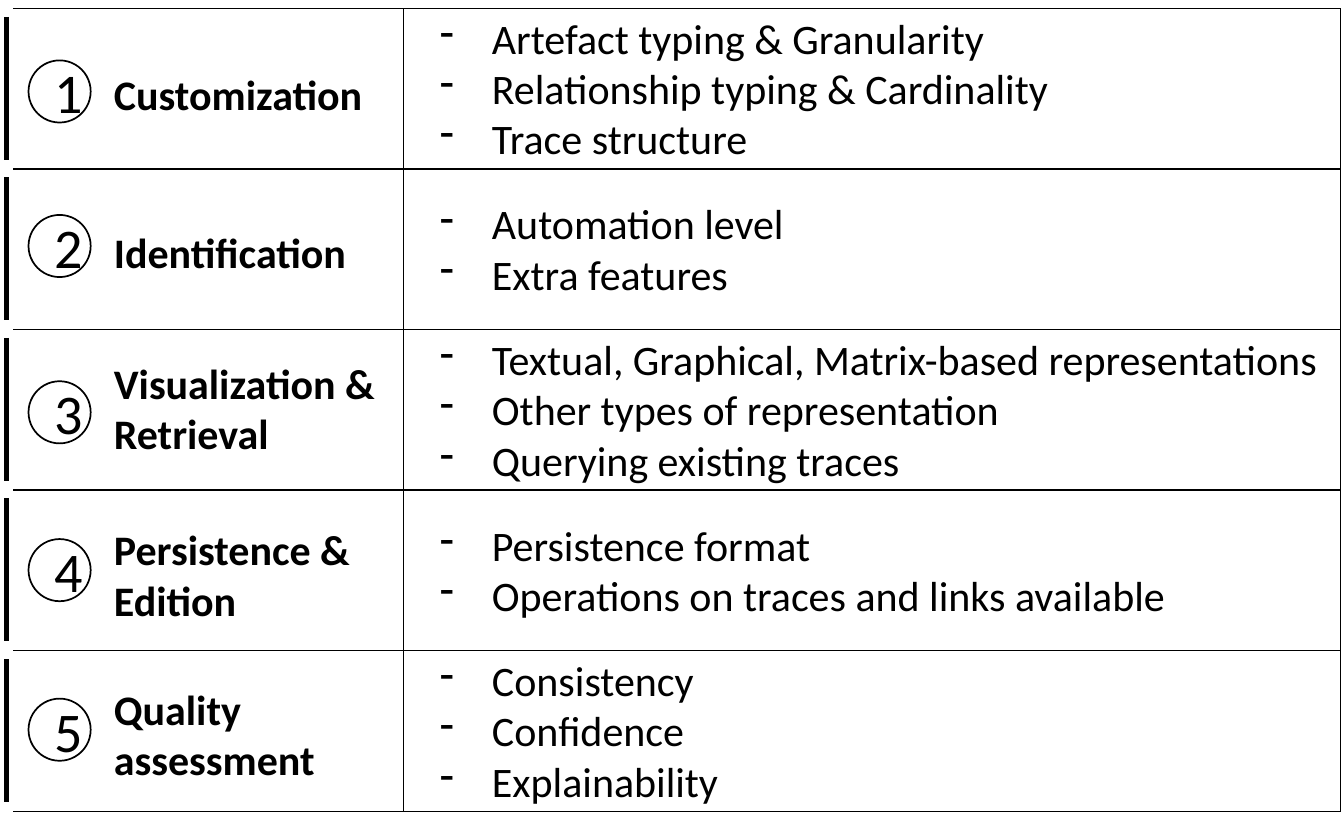
from dataclasses import dataclass

from lxml import etree
from pptx import Presentation
from pptx.dml.color import RGBColor
from pptx.enum.shapes import MSO_CONNECTOR, MSO_SHAPE
from pptx.enum.text import MSO_ANCHOR, MSO_AUTO_SIZE, PP_ALIGN
from pptx.oxml.ns import qn
from pptx.util import Inches, Pt

STRAIGHT = MSO_CONNECTOR.STRAIGHT
OVAL = MSO_SHAPE.OVAL
MIDDLE = MSO_ANCHOR.MIDDLE
CENTER = PP_ALIGN.CENTER
GROW = MSO_AUTO_SIZE.SHAPE_TO_FIT_TEXT


@dataclass(frozen=True)
class Theme:
    ink: RGBColor = RGBColor(0, 0, 0)
    paper: RGBColor = RGBColor(255, 255, 255)
    font: str = "Calibri"
    body: float = 18
    number: float = 24
    rule: float = 0.5
    ring: float = 0.75
    bar: float = 2


class Builder:
    """Draws elements on the current slide in one style."""

    def __init__(self, slide, theme):
        self.s = slide
        self.t = theme

    def line(self, x1, y1, x2, y2, width):
        ln = self.s.shapes.add_connector(
            STRAIGHT, Inches(x1), Inches(y1), Inches(x2), Inches(y2))
        ln.line.color.rgb = self.t.ink
        ln.line.width = Pt(width)
        etree.SubElement(ln._element.spPr, qn("a:effectLst"))

    def run(self, p, text, size, bold=False):
        r = p.add_run()
        r.text = text
        r.font.name = self.t.font
        r.font.size = Pt(size)
        r.font.bold = bold
        r.font.color.rgb = self.t.ink

    def text(self, x, y, w, h, lines, bold=False, dashed=False, wrap=False):
        sp = self.s.shapes.add_textbox(Inches(x), Inches(y), Inches(w), Inches(h))
        tf = sp.text_frame
        tf.word_wrap = wrap
        tf.auto_size = GROW
        for i, line in enumerate(lines):
            p = tf.paragraphs[0] if i == 0 else tf.add_paragraph()
            if dashed:
                self.dash(p)
            self.run(p, line, self.t.body, bold)

    def dash(self, p):
        pPr = p._p.get_or_add_pPr()
        pPr.set("marL", str(Inches(0.31)))
        pPr.set("indent", str(-Inches(0.31)))
        etree.SubElement(pPr, qn("a:buFontTx"))
        etree.SubElement(pPr, qn("a:buChar"), char="-")

    def badge(self, x, y, size, number):
        sp = self.s.shapes.add_shape(
            OVAL, Inches(x), Inches(y), Inches(size), Inches(size))
        sp.shadow.inherit = False
        sp.fill.solid()
        sp.fill.fore_color.rgb = self.t.paper
        sp.line.color.rgb = self.t.ink
        sp.line.width = Pt(self.t.ring)
        tf = sp.text_frame
        tf.word_wrap = True
        tf.vertical_anchor = MIDDLE
        p = tf.paragraphs[0]
        p.alignment = CENTER
        self.run(p, str(number), self.t.number)


# Each row: label lines, label top, label width, badge top, items, items width
ROWS = [
    (["Customization"], 0.36, 1.69, 0.36,
     ["Artefact typing & Granularity", "Relationship typing & Cardinality",
      "Trace structure"], 4.42),
    (["Identification"], 1.3, 1.66, 1.28,
     ["Automation level", "Extra features"], 2.28),
    (["Visualization &", "Retrieval"], 2.08, 1.83, 2.27,
     ["Textual, Graphical, Matrix-based representations",
      "Other types of representation", "Querying existing traces"], 5.49),
    (["Persistence &", "Edition"], 3.07, 1.62, 3.21,
     ["Persistence format", "Operations on traces and links available"], 4.57),
    (["Quality assessment"], 4.02, 1.78, 4.16,
     ["Consistency", "Confidence", "Explainability"], 1.88),
]
LEFT, SPLIT, RIGHT = 0.08, 2.4, 7.98
TOP, BOTTOM = 0.05, 4.83
PITCH = (BOTTOM - TOP) / len(ROWS)
BAR_X, BAR_GAP, BAR_LENGTH = 0.04, 0.05, 0.85
BOX_HEIGHT = {1: 0.4, 2: 0.71, 3: 1.01}


def main():
    prs = Presentation()
    prs.slide_width, prs.slide_height = Inches(8), Inches(4.9)
    theme = Theme()
    b = Builder(prs.slides.add_slide(prs.slide_layouts[6]), theme)

    # Grid
    for i in range(len(ROWS) + 1):
        y = TOP + i * PITCH
        b.line(LEFT, y, RIGHT, y, theme.rule)
    for x in (SPLIT, RIGHT):
        b.line(x, TOP, x, BOTTOM, theme.rule)

    # Rows: side bar, numbered badge, label, items centred in the row
    for i, (label, label_y, label_w, badge_y, items, items_w) in enumerate(ROWS):
        y = TOP + i * PITCH
        b.line(BAR_X, y + BAR_GAP, BAR_X, y + BAR_GAP + BAR_LENGTH, theme.bar)
        b.badge(0.17, badge_y, 0.37, i + 1)
        wraps = label == ["Quality assessment"]
        label_h = BOX_HEIGHT[2 if wraps else len(label)]
        b.text(0.58, label_y, label_w, label_h, label, bold=True, wrap=wraps)
        items_h = BOX_HEIGHT[len(items)]
        b.text(2.52, y + (PITCH - items_h) / 2, items_w, items_h, items,
               dashed=True)

    prs.save("out.pptx")


if __name__ == "__main__":
    main()
